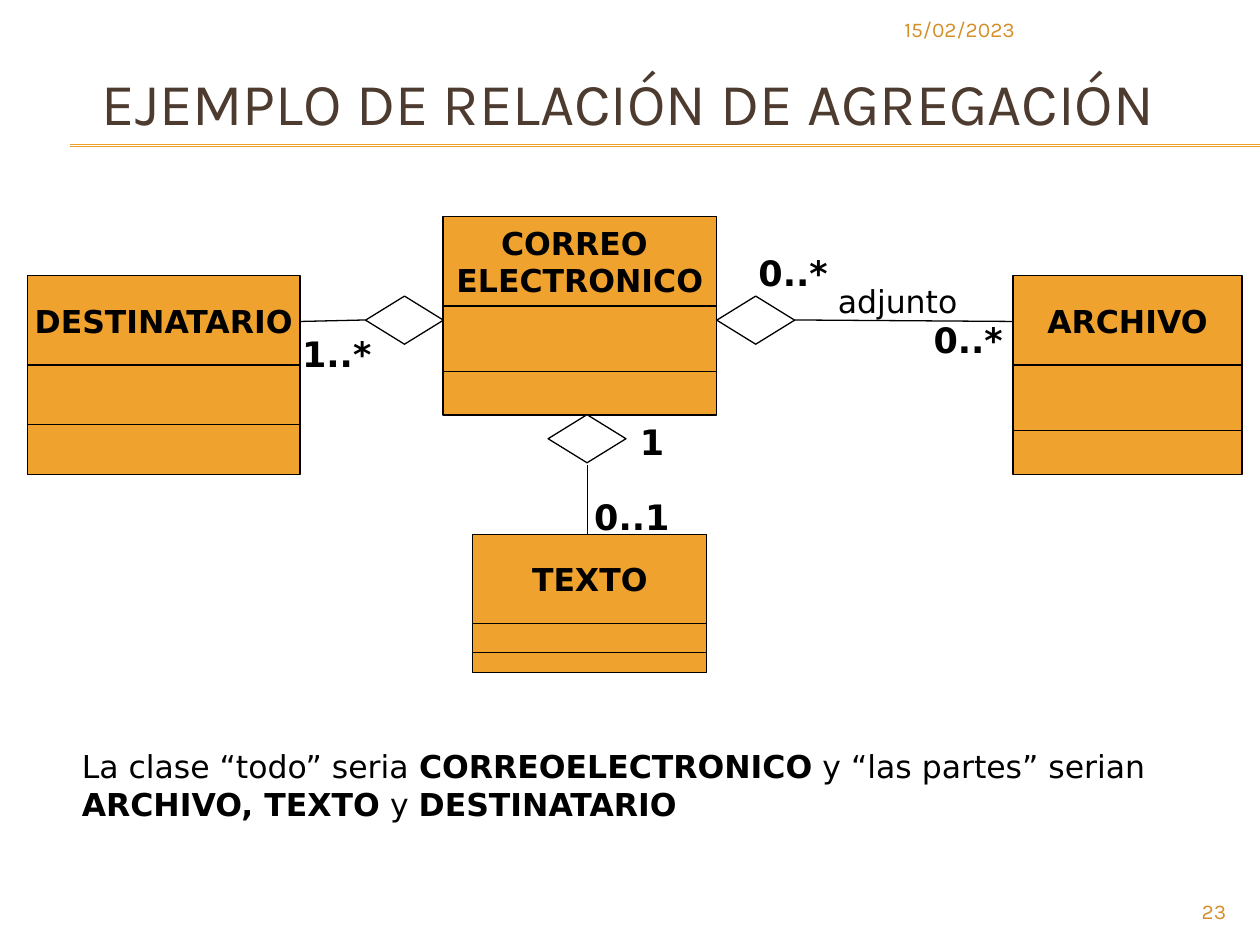
"""Builds a class diagram slide that explains the aggregation relation."""
from lxml.etree import SubElement
from pptx import Presentation
from pptx.dml.color import RGBColor
from pptx.enum.shapes import MSO_CONNECTOR as Link, MSO_SHAPE as Form
from pptx.enum.text import MSO_ANCHOR as Anchor, MSO_AUTO_SIZE as Fit, PP_ALIGN as Align
from pptx.oxml.ns import qn
from pptx.util import Cm, Pt

COLORS = {"accent": "F0A22E", "small": "D48F29", "title": "4E3B30",
          "ink": "000000", "paper": "FFFFFF"}
HEADING_FONT, DIAGRAM_FONT = "Karla", "DejaVu Sans"
SLIDE_WIDTH, SLIDE_HEIGHT = 25.4, 19.05
HEAD_HEIGHT = 1.8
DIAMOND_WIDTH, DIAMOND_HEIGHT = 1.57, 0.97

TITLE = "EJEMPLO DE RELACIÓN DE AGREGACIÓN"
DATE, PAGE = "15/02/2023", "23"
RULES = [2.92, 2.95]
# name lines, left, top, width, body height, attribute height
CLASSES = [
    (["CORREO ", "ELECTRONICO"], 8.93, 4.37, 5.52, 2.2, 1.32),
    (["ARCHIVO"], 20.42, 5.56, 4.62, 2.21, 1.32),
    (["DESTINATARIO"], 0.55, 5.56, 5.5, 2.21, 1.2),
    (["TEXTO"], 9.53, 10.77, 4.72, 0.99, 0.59),
]
DIAMONDS = [(11.05, 8.36), (14.45, 5.97), (7.37, 5.97)]
LINKS = [(16.03, 6.45, 20.42, 6.48), (7.37, 6.45, 6.07, 6.48), (11.84, 9.37, 11.84, 10.77)]
ROLE = ("adjunto", 16.64, 5.56, 2.95, 1.02)
MULTIPLICITIES = [
    ("0..*", 18.57, 6.3, 2.03),
    ("0..*", 15.04, 4.95, 2.03),
    ("0..1", 11.73, 9.86, 2.03),
    ("1", 12.65, 8.36, 1.02),
    ("1..*", 5.84, 6.58, 2.03),
]
EXPLANATION = [
    ("La clase “todo” seria ", False), ("CORREOELECTRONICO", True),
    (" y “las partes” serian ", False), ("ARCHIVO, TEXTO", True),
    (" y ", False), ("DESTINATARIO", True),
]


def color(key):
    return RGBColor.from_string(COLORS[key])


def add_run(paragraph, text, size, key="ink", font=DIAGRAM_FONT, bold=False):
    run = paragraph.add_run()
    run.text = text
    run.font.size, run.font.name, run.font.bold = Pt(size), font, bold
    run.font.color.rgb = color(key)


def add_line(slide, x1, y1, x2, y2, key="ink"):
    line = slide.shapes.add_connector(Link.STRAIGHT, Cm(x1), Cm(y1), Cm(x2), Cm(y2))
    line.line.color.rgb, line.line.width = color(key), Pt(0.75)
    SubElement(line._element.spPr, qn("a:effectLst"))


def add_form(slide, form, left, top, width, height, key="accent"):
    shape = slide.shapes.add_shape(form, Cm(left), Cm(top), Cm(width), Cm(height))
    shape.shadow.inherit = False
    shape.fill.solid()
    shape.fill.fore_color.rgb = color(key)
    shape.line.color.rgb, shape.line.width = color("ink"), Pt(0.75)
    return shape


def add_class(slide, names, left, top, width, body_height, attribute_height):
    body_top = top + HEAD_HEIGHT
    head = add_form(slide, Form.RECTANGLE, left, top, width, HEAD_HEIGHT).text_frame
    head.word_wrap, head.vertical_anchor = False, Anchor.MIDDLE
    for index, name in enumerate(names):
        paragraph = head.add_paragraph() if index else head.paragraphs[0]
        paragraph.alignment = Align.CENTER
        add_run(paragraph, name, 18, bold=True)
    add_form(slide, Form.RECTANGLE, left, body_top, width, body_height)
    divider = body_top + attribute_height
    add_line(slide, left, divider, left + width, divider)


def add_text(slide, left, top, width, height, wrap=True, fit=Fit.NONE):
    frame = slide.shapes.add_textbox(Cm(left), Cm(top), Cm(width), Cm(height)).text_frame
    frame.word_wrap, frame.auto_size = wrap, fit
    return frame.paragraphs[0]


def add_heading(slide):
    for y in RULES:
        add_line(slide, 1.42, y, SLIDE_WIDTH, y, "accent")
    title = slide.shapes.title
    title.left, title.top, title.width, title.height = Cm(1.8), Cm(0.99), Cm(22.23), Cm(2.11)
    frame = title.text_frame
    frame.auto_size, frame.vertical_anchor = Fit.NONE, Anchor.MIDDLE
    frame.paragraphs[0].alignment = Align.LEFT
    add_run(frame.paragraphs[0], TITLE, 34, "title", HEADING_FONT)
    add_run(add_text(slide, 17.98, 0.2, 6.99, 0.81), DATE, 12, "small", HEADING_FONT)
    page = add_text(slide, 22.86, 17.98, 2.11, 0.69)
    page.alignment = Align.RIGHT
    add_run(page, PAGE, 12, "small", HEADING_FONT)


def add_diagram(slide):
    for entry in CLASSES:
        add_class(slide, *entry)
    for left, top in DIAMONDS:
        add_form(slide, Form.DIAMOND, left, top, DIAMOND_WIDTH, DIAMOND_HEIGHT, "paper")
    for ends in LINKS:
        add_line(slide, *ends)
    role, *place = ROLE
    add_run(add_text(slide, *place, False, Fit.SHAPE_TO_FIT_TEXT), role, 18)
    for count, left, top, width in MULTIPLICITIES:
        label = add_text(slide, left, top, width, 1.09, False, Fit.SHAPE_TO_FIT_TEXT)
        add_run(label, count, 20, bold=True)


def main():
    deck = Presentation()
    deck.slide_width, deck.slide_height = Cm(SLIDE_WIDTH), Cm(SLIDE_HEIGHT)
    slide = deck.slides.add_slide(deck.slide_layouts.get_by_name("Title Only"))
    add_heading(slide)
    add_diagram(slide)
    explanation = add_text(slide, 1.4, 14.94, 24, 1.78, fit=Fit.SHAPE_TO_FIT_TEXT)
    for text, bold in EXPLANATION:
        add_run(explanation, text, 18, bold=bold)
    deck.save("out.pptx")


if __name__ == "__main__":
    main()
